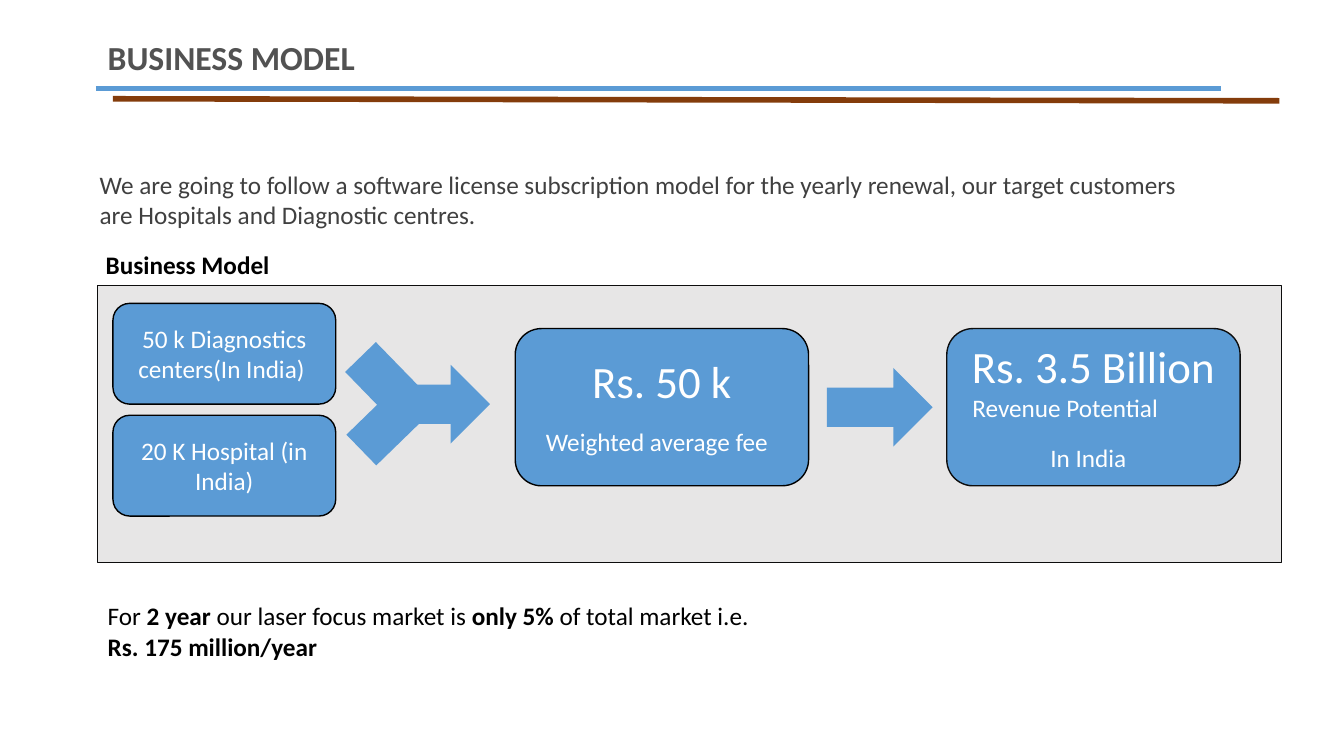
from pptx import Presentation, util as u
from pptx.dml.color import RGBColor
from pptx.enum import shapes, text
from pptx.oxml.ns import qn
from lxml import etree

I, G, A = u.Inches, shapes.MSO_SHAPE, text.PP_ALIGN

THEME = {
    "font": "Calibri",
    "blue": "5B9BD5", "brown": "843C0B", "panel": "E7E6E6",
    "black": "000000", "edge": "0D0D0D", "white": "FFFFFF",
    "heading": "525252", "body": "404040",
    "title_pt": 24, "body_pt": 18, "figure_pt": 32,
    "rule_pt": 4, "outline_pt": 1,
}
BODY, FIGURE = THEME["body_pt"], THEME["figure_pt"]

# A run is (text, format); a paragraph is (runs, paragraph format).
RULES = [((0.95, 0.88), (12.11, 0.88), "blue"),
         ((1.12, 0.98), (12.69, 1.0), "brown")]
TITLE = [([("BUSINESS MODEL", {"bold": True})], {})]
INTRO = [([("We are going to follow a software license subscription model for "
            "the yearly renewal, our target customers are Hospitals and "
            "Diagnostic centres.", {})], {})]
CAPTION = [([("Business Model", {"bold": True})], {})]
FOCUS = [
    ([("For ", {}), ("2 year ", {"bold": True}),
      ("our laser focus market is ", {}), ("only 5% ", {"bold": True}),
      ("of total market i.e.", {})], {}),
    ([("Rs. 175 million/year", {"bold": True})], {}),
]
TEXTS = [((0.97, 0.32, 10.92, 0.5), TITLE, "heading", "title_pt"),
         ((0.89, 1.63, 11.08, 0.71), INTRO, "body", "body_pt"),
         ((0.95, 2.42, 1.95, 0.4), CAPTION, "black", "body_pt"),
         ((0.97, 5.91, 6.74, 0.71), FOCUS, "black", "body_pt")]

MID = {"alignment": A.CENTER}
TALL_SPACE = (" ", {"size": FIGURE})
CUSTOMERS = ["50 k Diagnostics centers(In India) ", "20 K Hospital (in India)"]
FEE = [([("Rs. 50 k", {"size": FIGURE})], MID),
       ([("Weighted average fee", {}), TALL_SPACE], MID)]
REVENUE = [([("Rs. 3.5 Billion", {"size": FIGURE})], MID),
           ([("Revenue Potential", {})], {"indent": 0.08}),
           ([("In India", {}), TALL_SPACE], MID)]

PANEL = (0.97, 2.83, 11.74, 2.75)
CUSTOMER_BOX, CUSTOMER_STEP = (1.12, 3.01, 2.21, 1.0), 1.11
RESULT_TOP, RESULT_SIZE = 3.26, (2.91, 1.56)
RESULTS = [(5.11, FEE, "black"), (9.39, REVENUE, "edge")]
MERGE, MERGE_ANGLE = (3.29, 3.58, 0.88, 0.85), 225.8
ARROWS, ARROW_SIZE = [(3.81, 3.62), (8.2, 3.65)], (1.05, 0.78)


def rgb(name):
    """Return a theme colour."""
    return RGBColor.from_string(THEME[name])


def write(tf, paragraphs, color, size):
    """Fill a text frame with paragraphs of formatted runs."""
    tf.word_wrap = True
    for i, (runs, fmt) in enumerate(paragraphs):
        p = tf.paragraphs[0] if i == 0 else tf.add_paragraph()
        p.alignment = fmt.get("alignment", A.LEFT)
        if "indent" in fmt:
            p._p.get_or_add_pPr().set("marL", str(I(fmt["indent"])))
        for words, run_fmt in runs:
            r = p.add_run()
            r.text = words
            r.font.color.rgb = rgb(color)
            values = {"name": THEME["font"], "size": size, **run_fmt}
            for key, value in values.items():
                setattr(r.font, key, u.Pt(value) if key == "size" else value)


def add_text(s, box, paragraphs, color, size):
    """Add a plain text box."""
    write(s.shapes.add_textbox(*map(I, box)).text_frame,
          paragraphs, color, THEME[size])


def add_shape(s, kind, box, fill="blue", line=None, paragraphs=()):
    """Add a filled shape with optional outline and text."""
    sp = s.shapes.add_shape(kind, *map(I, box))
    sp.shadow.inherit = False
    sp.fill.solid()
    sp.fill.fore_color.rgb = rgb(fill)
    if line:
        sp.line.color.rgb = rgb(line)
        sp.line.width = u.Pt(THEME["outline_pt"])
    else:
        sp.line.fill.background()
    if paragraphs:
        sp.text_frame.vertical_anchor = text.MSO_ANCHOR.MIDDLE
        write(sp.text_frame, paragraphs, "white", BODY)
    return sp


def add_rule(s, start, end, color):
    """Add a heavy line without shadow."""
    c = s.shapes.add_connector(shapes.MSO_CONNECTOR.STRAIGHT,
                               *map(I, start + end))
    c.line.color.rgb = rgb(color)
    c.line.width = u.Pt(THEME["rule_pt"])
    etree.SubElement(c._element.spPr, qn("a:effectLst"))


def build():
    """Build and save the slide."""
    prs = Presentation()
    prs.slide_width, prs.slide_height = I(13.33), I(7.5)
    s = prs.slides.add_slide(prs.slide_layouts[6])
    for rule in RULES:
        add_rule(s, *rule)
    for item in TEXTS:
        add_text(s, *item)
    add_shape(s, G.RECTANGLE, PANEL, "panel", "edge")
    x, y, w, h = CUSTOMER_BOX
    for i, label in enumerate(CUSTOMERS):
        add_shape(s, G.ROUNDED_RECTANGLE, (x, y + i * CUSTOMER_STEP, w, h),
                  line="black", paragraphs=[([(label, {})], MID)])
    add_shape(s, G.CORNER, MERGE).rotation = MERGE_ANGLE
    for corner in ARROWS:
        add_shape(s, G.RIGHT_ARROW, corner + ARROW_SIZE)
    for left, paragraphs, line in RESULTS:
        add_shape(s, G.ROUNDED_RECTANGLE, (left, RESULT_TOP) + RESULT_SIZE,
                  line=line, paragraphs=paragraphs)
    prs.save("out.pptx")


build()
